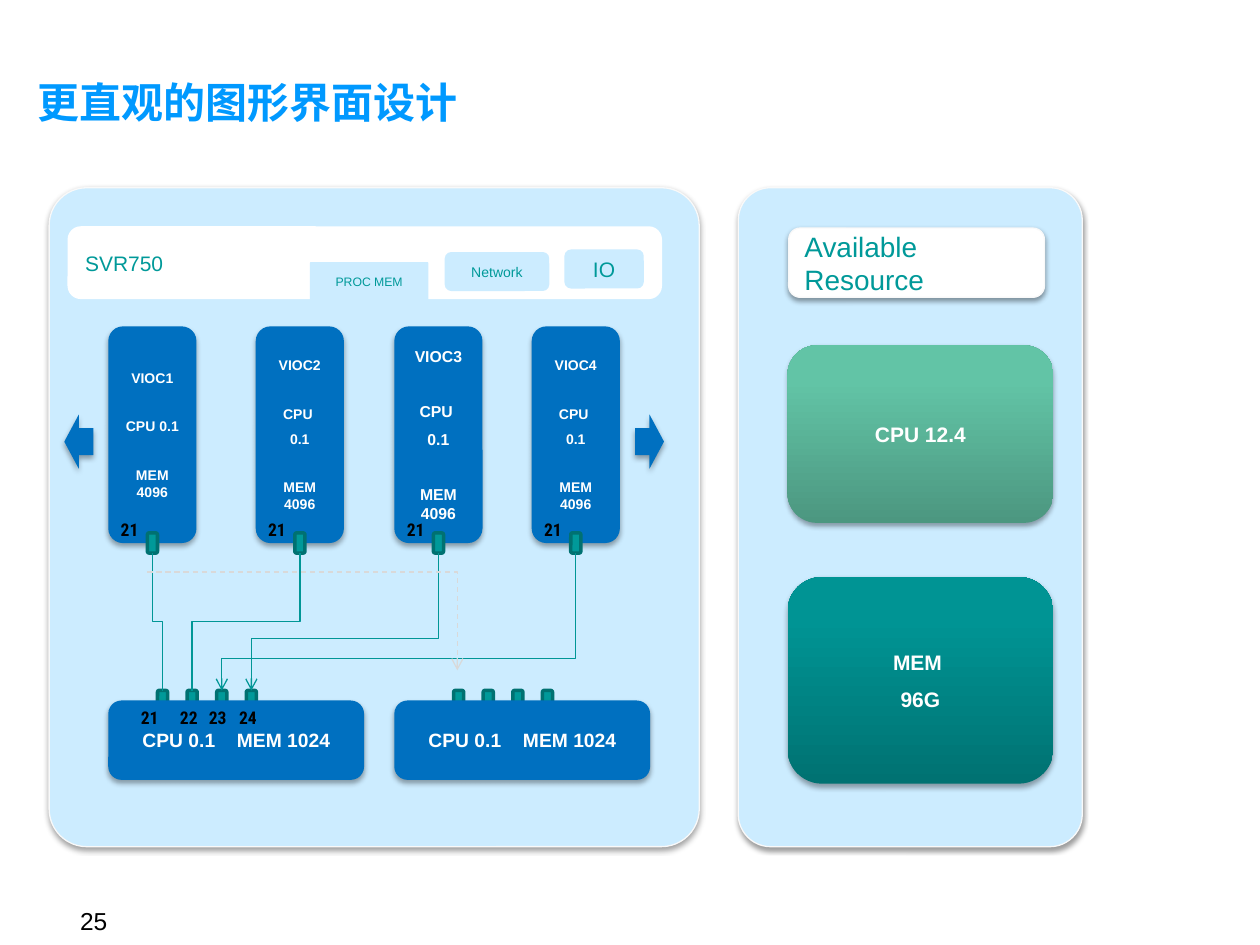
from dataclasses import dataclass

from lxml.etree import SubElement
from pptx import Presentation
from pptx.dml.color import RGBColor
from pptx.enum.dml import MSO_LINE
from pptx.enum.shapes import MSO_CONNECTOR, MSO_SHAPE
from pptx.enum.text import MSO_ANCHOR, PP_ALIGN
from pptx.oxml.ns import qn
from pptx.util import Inches, Pt


@dataclass(frozen=True)
class Theme:
    font: str = "Arial"
    title_font: str = "Noto Sans CJK JP"
    label_font: str = "Roboto Condensed"
    title: str = "0099FF"
    panel: str = "CCECFF"
    edge: str = "F9F9F9"
    blue: str = "0070C0"
    teal: str = "009999"
    port_edge: str = "007171"
    wire: str = "009696"
    spare_wire: str = "D9D9D9"
    white: str = "FFFFFF"
    black: str = "000000"
    green_stops: tuple = ((0, "4C9780"), (80, "62C4A6"), (100, "61C7A8"))
    teal_stops: tuple = ((0, "007272"), (80, "009494"), (100, "009595"))
    title_size: int = 24
    heading_size: int = 16
    number_size: int = 14
    body_size: int = 12
    host_size: int = 11
    label_size: int = 10
    small_size: int = 8
    tiny_size: int = 7
    line_gap: float = 0.57
    block_gap: float = 2.28


THEME = Theme()


@dataclass(frozen=True)
class Box:
    left: float
    top: float
    width: float
    height: float

    def inner(self, left, top, width, height):
        return Box(self.left + left, self.top + top, width, height)

    def lengths(self):
        return [Inches(value) for value in (self.left, self.top, self.width, self.height)]


def rgb(color):
    return RGBColor.from_string(color)


def write(frame, lines, size, color, bold=False, align=PP_ALIGN.CENTER,
          font=THEME.font, anchor=MSO_ANCHOR.MIDDLE):
    frame.word_wrap = True
    frame.vertical_anchor = anchor
    for index, (text, gap) in enumerate(lines):
        paragraph = frame.paragraphs[0] if index == 0 else frame.add_paragraph()
        paragraph.alignment = align
        paragraph.space_before = Pt(round(gap * size, 1))
        run = paragraph.add_run()
        run.text = text
        run.font.name = font
        run.font.size = Pt(size)
        run.font.bold = bold
        run.font.color.rgb = rgb(color)
        SubElement(run.font._element, qn("a:ea"), typeface=font)


def add_text(slide, box, text, size, color, **style):
    shape = slide.shapes.add_textbox(*box.lengths())
    write(shape.text_frame, [(text, 0)], size, color, **style)
    return shape


def add_block(slide, box, fill=None, line=None, line_width=0.75, shadow=None,
              kind=MSO_SHAPE.ROUNDED_RECTANGLE, corner=None):
    shape = slide.shapes.add_shape(kind, *box.lengths())
    shape.shadow.inherit = False
    if fill:
        shape.fill.solid()
        shape.fill.fore_color.rgb = rgb(fill)
    if line:
        shape.line.color.rgb = rgb(line)
        shape.line.width = Pt(line_width)
    else:
        shape.line.fill.background()
    if corner:
        shape.adjustments[0] = corner
    if shadow:
        alpha, distance = shadow
        effects = shape._element.spPr.find(qn("a:effectLst"))
        outer = SubElement(effects, qn("a:outerShdw"), blurRad=str(Pt(3.1)),
                           dist=str(Pt(distance)), dir="5400000", rotWithShape="0")
        color = SubElement(outer, qn("a:srgbClr"), val=THEME.black)
        SubElement(color, qn("a:alpha"), val=str(alpha * 1000))
    return shape


PANEL_SHADOW = (38, 1.6)
BLOCK_SHADOW = (35, 1.8)


def add_gradient(shape, stops):
    shape.fill.gradient()
    shape.fill.gradient_angle = 90
    stop_list = shape._element.spPr.find(qn("a:gradFill")).find(qn("a:gsLst"))
    for stop in list(stop_list):
        stop_list.remove(stop)
    for position, color in stops:
        stop = SubElement(stop_list, qn("a:gs"), pos=str(position * 1000))
        SubElement(stop, qn("a:srgbClr"), val=color)


def add_elbow(slide, start, end, color, arrow=False):
    points = [Inches(value) for value in (*start, *end)]
    connector = slide.shapes.add_connector(MSO_CONNECTOR.ELBOW, *points)
    connector.line.color.rgb = rgb(color)
    connector.line.width = Pt(0.75)
    properties = connector._element.spPr
    if arrow:
        SubElement(properties.find(qn("a:ln")), qn("a:tailEnd"), type="arrow")
    SubElement(properties, qn("a:effectLst"))
    return connector


def add_wire(slide, start, end, bend, arrow):
    (start_x, start_y), (end_x, end_y) = start, end
    center_x, center_y = (start_x + end_x) / 2, (start_y + end_y) / 2
    half_run, half_rise = (end_y - start_y) / 2, abs(end_x - start_x) / 2
    connector = add_elbow(slide, (center_x - half_run, center_y - half_rise),
                          (center_x + half_run, center_y + half_rise), THEME.wire, arrow)
    properties = connector._element.spPr
    frame = properties.find(qn("a:xfrm"))
    frame.set("rot", "5400000" if end_x < start_x else "16200000")
    if end_x > start_x:
        frame.set("flipH", "1")
    guides = properties.find(qn("a:prstGeom")).find(qn("a:avLst"))
    SubElement(guides, qn("a:gd"), name="adj1", fmla=f"val {round(bend * 100000)}")


def add_port(slide, box):
    add_block(slide, box, THEME.teal, THEME.port_edge, 2)


def add_label(slide, box, text):
    add_text(slide, box, text, THEME.label_size, THEME.black, bold=True,
             align=PP_ALIGN.LEFT, font=THEME.label_font, anchor=MSO_ANCHOR.TOP)


def add_tab_strip(slide, box):
    strip = add_block(slide, box, THEME.white, THEME.white, 2)
    write(strip.text_frame, [("SVR750", 0)], THEME.body_size, THEME.teal, align=PP_ALIGN.LEFT)
    tabs = (("PROC MEM", 1.91, 0.27, 0.94, THEME.tiny_size, 0.03),
            ("Network", 2.98, 0.19, 0.83, THEME.small_size, None),
            ("IO", 3.93, 0.17, 0.63, THEME.body_size, None))
    for text, left, top, width, size, corner in tabs:
        tab = add_block(slide, box.inner(left, top, width, 0.31), THEME.panel, corner=corner)
        write(tab.text_frame, [(text, 0)], size, THEME.teal)


def add_controller(slide, box, name, size, processor):
    shape = add_block(slide, box, THEME.blue, shadow=BLOCK_SHADOW)
    gaps = [THEME.block_gap] + [THEME.line_gap] * (len(processor) - 1)
    lines = [(name, 0), *zip(processor, gaps), ("MEM 4096", THEME.block_gap)]
    write(shape.text_frame, lines, size, THEME.white, bold=True)
    add_port(slide, box.inner(0.31, 1.64, 0.08, 0.16))
    add_label(slide, box.inner(0, 1.48, 0.39, 0.27), "21")


def add_host(slide, box, first_port):
    for index in range(4):
        add_port(slide, box.inner(first_port + 0.235 * index, -0.08, 0.08, 0.16))
    shape = add_block(slide, box, THEME.blue, shadow=BLOCK_SHADOW)
    frame = shape.text_frame
    frame.margin_left = Inches(0.24)
    write(frame, [("CPU 0.1\tMEM 1024", 0)], THEME.host_size, THEME.white,
          bold=True, align=PP_ALIGN.LEFT)
    stops = SubElement(frame.paragraphs[0]._p.get_or_add_pPr(), qn("a:tabLst"))
    SubElement(stops, qn("a:tab"), pos=str(Inches(0.75)), algn="l")


def add_server_panel(slide, box):
    add_block(slide, box, THEME.panel, THEME.edge, shadow=PANEL_SHADOW, corner=0.058)
    add_tab_strip(slide, box.inner(0.16, 0.32, 4.69, 0.55))
    host = box.inner(0.47, 4.07, 2.03, 0.63)
    add_host(slide, host, 0.39)
    add_host(slide, box.inner(2.74, 4.07, 2.03, 0.63), 0.47)

    controllers = (("VIOC1", 0.47, 8, ["CPU 0.1"], 0, 0.5),
                   ("VIOC2", 1.64, 8, ["CPU ", "0.1"], 1, 0.5),
                   ("VIOC3", 2.74, 9, ["CPU ", "0.1"], 3, 0.623),
                   ("VIOC4", 3.83, 8, ["CPU ", "0.1"], 2, 0.768))
    for name, left, size, processor, port, bend in controllers:
        controller = box.inner(left, 1.1, 0.7, 1.72)
        add_controller(slide, controller, name, size, processor)
        start = (controller.left + 0.35, controller.top + 1.8)
        end = (host.left + 0.43 + 0.235 * port, host.top - 0.08)
        add_wire(slide, start, end, bend, arrow=port > 1)

    spare = add_elbow(slide, (box.left + 0.78, box.top + 3.05),
                      (box.left + 3.24, box.top + 3.83), THEME.spare_wire, arrow=True)
    spare.line.dash_style = MSO_LINE.DASH
    spare._element.spPr.find(qn("a:prstGeom")).set("prst", "bentConnector2")

    for text, left in zip(("21", "22", "23", "24"), (0.16, 0.47, 0.7, 0.94)):
        add_label(slide, host.inner(left, 0, 0.39, 0.27), text)
    for left, rotation in ((0.12, 180), (4.65, 0)):
        arrow = add_block(slide, box.inner(left, 1.8, 0.23, 0.43), THEME.blue,
                          shadow=BLOCK_SHADOW, kind=MSO_SHAPE.RIGHT_ARROW)
        arrow.rotation = rotation


def add_resource_panel(slide, box):
    add_block(slide, box, THEME.panel, THEME.edge, shadow=PANEL_SHADOW, corner=0.094)
    heading = add_block(slide, box.inner(0.4, 0.32, 2.03, 0.55), THEME.white,
                        THEME.edge, shadow=PANEL_SHADOW)
    write(heading.text_frame, [("Available Resource", 0)], THEME.heading_size,
          THEME.teal, align=PP_ALIGN.LEFT)
    resources = (([("CPU 12.4", 0)], 1.25, 1.41, THEME.green_stops),
                 ([("MEM ", 0), ("96G", THEME.line_gap)], 3.09, 1.64, THEME.teal_stops))
    for lines, top, height, stops in resources:
        shape = add_block(slide, box.inner(0.39, top, 2.11, height), shadow=BLOCK_SHADOW)
        add_gradient(shape, stops)
        write(shape.text_frame, lines, THEME.body_size, THEME.white, bold=True)


def add_title(slide, box):
    shape = add_text(slide, box, "更直观的图形界面设计", THEME.title_size, THEME.title, bold=True,
                     align=PP_ALIGN.LEFT, font=THEME.title_font, anchor=MSO_ANCHOR.TOP)
    shape.text_frame.margin_top = 0
    shape.text_frame.paragraphs[0].line_spacing = 0.9


def main():
    presentation = Presentation()
    presentation.slide_width, presentation.slide_height = Inches(10), Inches(7.5)
    slide = presentation.slides.add_slide(presentation.slide_layouts[6])
    add_title(slide, Box(0.2, 0.65, 9.5, 0.66))
    add_text(slide, Box(0.26, 7.12, 0.69, 0.38), "25", THEME.number_size, THEME.black,
             align=PP_ALIGN.RIGHT)
    add_server_panel(slide, Box(0.39, 1.49, 5.16, 5.23))
    add_resource_panel(slide, Box(5.86, 1.49, 2.73, 5.23))
    presentation.save("out.pptx")


if __name__ == "__main__":
    main()
